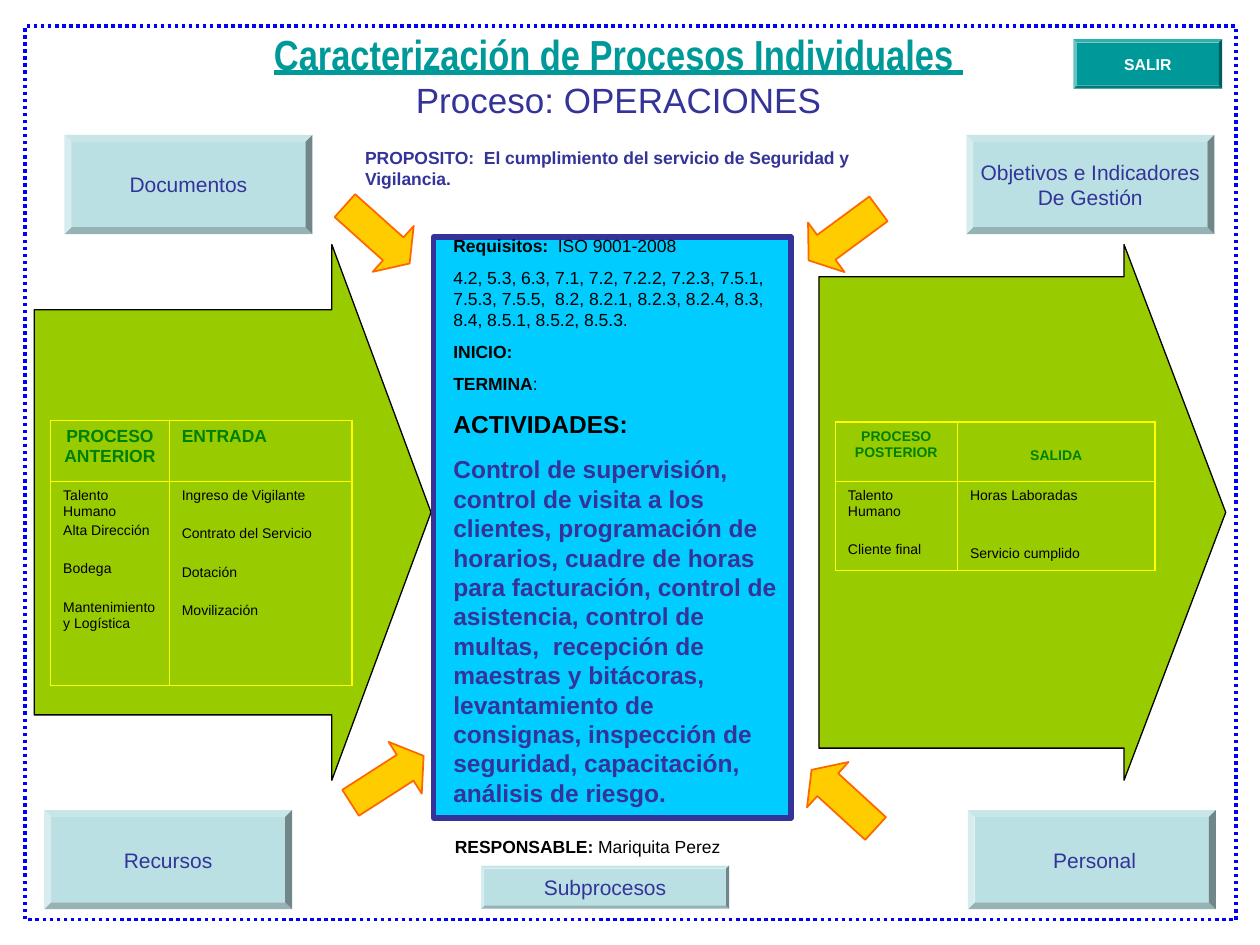
from dataclasses import dataclass

import pptx
import pptx.dml.color
import pptx.enum.dml
import pptx.enum.shapes
import pptx.enum.text
import pptx.oxml.ns
import pptx.util
from lxml import etree

Cm, Pt = pptx.util.Cm, pptx.util.Pt
RGBColor = pptx.dml.color.RGBColor
ShapeKind = pptx.enum.shapes.MSO_SHAPE
Align = pptx.enum.text.PP_ALIGN
Anchor = pptx.enum.text.MSO_ANCHOR

BLACK = RGBColor(0x00, 0x00, 0x00)
WHITE = RGBColor(0xFF, 0xFF, 0xFF)
LIME = RGBColor(0x99, 0xCC, 0x00)
GREEN = RGBColor(0x00, 0x80, 0x00)
TEAL = RGBColor(0x00, 0x99, 0x99)
PALE_TEAL = RGBColor(0xBB, 0xE0, 0xE3)
INDIGO = RGBColor(0x33, 0x33, 0x99)
CYAN = RGBColor(0x00, 0xCC, 0xFF)
GOLD = RGBColor(0xFF, 0xCC, 0x00)
ORANGE = RGBColor(0xFF, 0x66, 0x00)
BLUE = RGBColor(0x00, 0x00, 0xFF)
YELLOW = RGBColor(0xFF, 0xFF, 0x00)

THICK, THIN = 1.08, 0.45
GAP = 13  # space before a table entry that starts a new group, in points


@dataclass
class Box:
    left: float
    top: float
    width: float
    height: float

    def lengths(self) -> list:
        return [Cm(value) for value in (self.left, self.top, self.width, self.height)]


@dataclass
class Run:
    text: str
    size: float = 10
    color: RGBColor = BLACK
    bold: bool = False
    underline: bool = False
    name: str = "Arial"


@dataclass
class Line:
    runs: list[Run]
    before: float = 0
    align: Align = Align.LEFT
    spacing: float = 1.0


@dataclass
class ProcessTable:
    left: float
    top: float
    columns: list[float]
    rows: list[float]
    cells: list[list[list[Line]]]
    bottom_width: float
    fill: RGBColor | None = None


def write_runs(paragraph, runs: list[Run]) -> None:
    for item in runs:
        run = paragraph.add_run()
        run.text = item.text
        formats = {"name": item.name, "size": Pt(item.size),
                   "bold": item.bold, "underline": item.underline}
        for attribute, value in formats.items():
            setattr(run.font, attribute, value)
        run.font.color.rgb = item.color


def write_lines(frame, lines: list[Line]) -> None:
    for index, line in enumerate(lines):
        paragraph = frame.add_paragraph() if index else frame.paragraphs[0]
        formats = {"alignment": line.align, "space_before": Pt(line.before),
                   "line_spacing": line.spacing}
        for attribute, value in formats.items():
            setattr(paragraph, attribute, value)
        write_runs(paragraph, line.runs)


def add_text(slide, box: Box, lines: list[Line], anchor=Anchor.TOP):
    frame = slide.shapes.add_textbox(*box.lengths()).text_frame
    frame.word_wrap = True
    frame.vertical_anchor = anchor
    write_lines(frame, lines)
    return frame


def add_figure(slide, kind, box: Box, fill=None, line=None, width: float = 1,
               adjustments=(), rotation: float = 0):
    shape = slide.shapes.add_shape(kind, *box.lengths())
    shape.shadow.inherit = False
    shape.rotation = rotation
    for index, value in enumerate(adjustments):
        shape.adjustments[index] = value
    for target, color in ((shape.fill, fill), (shape.line.fill, line)):
        if color is None:
            target.background()
        else:
            target.solid()
            target.fore_color.rgb = color
    if line is not None:
        shape.line.width = Pt(width)
    return shape


def add_button(slide, box: Box, labels: list[str], fill=PALE_TEAL,
               color=INDIGO, size: float = 12, bold: bool = False) -> None:
    shape = add_figure(slide, ShapeKind.BEVEL, box, fill, adjustments=[0.07])
    shape.text_frame.word_wrap = False
    shape.text_frame.vertical_anchor = Anchor.MIDDLE
    write_lines(shape.text_frame, [Line([Run(label, size, color, bold)], align=Align.CENTER)
                                   for label in labels])


def set_border(cell, side: str, width: float) -> None:
    qn = pptx.oxml.ns.qn
    border = etree.SubElement(cell._tc.get_or_add_tcPr(), qn(f"a:ln{side}"), w=str(Pt(width)))
    fill = etree.SubElement(border, qn("a:solidFill"))
    etree.SubElement(fill, qn("a:srgbClr"), val=str(YELLOW))


def add_process_table(slide, content: ProcessTable):
    last_row, last_column = len(content.rows) - 1, len(content.columns) - 1
    box = Box(content.left, content.top, sum(content.columns), sum(content.rows))
    table = slide.shapes.add_table(last_row + 1, last_column + 1, *box.lengths()).table
    for column, width in zip(table.columns, content.columns):
        column.width = Cm(width)
    for row, height in zip(table.rows, content.rows):
        row.height = Cm(height)
    for r, row_cells in enumerate(content.cells):
        for c, lines in enumerate(row_cells):
            cell = table.cell(r, c)
            widths = {"L": THIN if c else THICK,
                      "R": THICK if c == last_column else THIN,
                      "T": THIN if r else THICK,
                      "B": content.bottom_width if r == last_row else THIN}
            for side, width in widths.items():
                set_border(cell, side, width)
            if content.fill is None:
                cell.fill.background()
            else:
                cell.fill.solid()
                cell.fill.fore_color.rgb = content.fill
            write_lines(cell.text_frame, lines)
    return table


def header(text: str, size: float, align=Align.CENTER) -> list[Line]:
    return [Line([Run(text, size, GREEN, True)], align=align)]


def entries(*items: tuple[str, float]) -> list[Line]:
    return [Line([Run(text, 8)], before) for text, before in items]


def main() -> None:
    presentation = pptx.Presentation()
    presentation.slide_width, presentation.slide_height = Cm(25.4), Cm(19.05)
    slide = presentation.slides.add_slide(presentation.slide_layouts[6])

    # Large arrows, central panel and dotted frame
    arrow = ShapeKind.RIGHT_ARROW
    add_figure(slide, arrow, Box(16.51, 4.93, 8.2, 10.8), LIME, BLACK, 0.75, [0.88, 0.25])
    add_figure(slide, arrow, Box(0.69, 4.93, 8, 10.8), LIME, BLACK, 0.75, [0.756, 0.25])
    add_figure(slide, ShapeKind.RECTANGLE, Box(8.74, 4.78, 7.21, 11.71), CYAN, INDIGO, 3)
    border = add_figure(slide, ShapeKind.RECTANGLE, Box(0.51, 0.53, 24.41, 18.01), None, BLUE, 2)
    border.line.dash_style = pptx.enum.dml.MSO_LINE.ROUND_DOT

    # Small arrows pointing at the panel
    for left, top, rotation in ((6.93, 15.09, 327.3), (6.73, 4.11, 41.8),
                                (16.13, 15.49, 222.5), (16.13, 4.11, 143.6)):
        add_figure(slide, arrow, Box(left, top, 1.75, 1.24), GOLD, ORANGE, 1,
                   [0.5, 0.357], rotation)

    # Title
    title = add_text(slide, Box(3.3, 0.91, 18.34, 1.65), [
        Line([Run("Caracterización de Procesos Individuales ", 24, TEAL, True, True,
                  "Arial Narrow")], align=Align.CENTER)], Anchor.BOTTOM)
    title.paragraphs[0].add_line_break()
    write_runs(title.paragraphs[0], [Run("Proceso: OPERACIONES", 20, INDIGO)])

    # Purpose, requirements, activities and person in charge
    add_text(slide, Box(7.11, 2.84, 11.99, 1.12), [Line([Run(
        "PROPOSITO:  El cumplimiento del servicio de Seguridad y Vigilancia.",
        color=INDIGO, bold=True)])])
    add_text(slide, Box(8.89, 4.62, 7.01, 4.11), [Line(runs, 6.2) for runs in (
        [Run("Requisitos:  ", bold=True), Run("ISO 9001-2008")],
        [Run("4.2, 5.3, 6.3, 7.1, 7.2, 7.2.2, 7.2.3, 7.5.1, 7.5.3, 7.5.5,  8.2, 8.2.1, "
             "8.2.3, 8.2.4, 8.3, 8.4, 8.5.1, 8.5.2, 8.5.3.")],
        [Run("INICIO:", bold=True)],
        [Run("TERMINA", bold=True), Run(":")])])
    activities = ("Control de supervisión, control de visita a los clientes, programación de "
                  "horarios, cuadre de horas para facturación, control de asistencia, control "
                  "de multas,  recepción de maestras y bitácoras, levantamiento de consignas, "
                  "inspección de seguridad, capacitación, análisis de riesgo.")
    add_text(slide, Box(8.89, 8.13, 7.21, 9.17), [
        Line([Run("ACTIVIDADES:", 14, BLACK, True)], 8.8),
        Line([Run(activities, 14, INDIGO, True)], 8.8)])
    add_text(slide, Box(8.92, 16.81, 7.01, 0.61), [Line(
        [Run("RESPONSABLE: ", bold=True), Run("Mariquita Perez")], spacing=0.8)])

    # Input and output tables
    add_process_table(slide, ProcessTable(1.02, 8.48, [2.39, 3.68], [1.22, 4.11], [
        [header("PROCESO ANTERIOR", 10), header("ENTRADA", 10, Align.LEFT)],
        [entries(("Talento Humano", 2), ("Alta Dirección", 2), ("Bodega", GAP),
                 ("Mantenimiento y Logística", GAP)),
         entries(("Ingreso de Vigilante", 2), ("Contrato del Servicio", GAP),
                 ("Dotación", GAP), ("Movilización", GAP))]], THIN, LIME))
    output_table = add_process_table(slide, ProcessTable(16.84, 8.51, [2.46, 3.99], [1.19, 1.8], [
        [header("PROCESO POSTERIOR", 8), header("SALIDA", 8)],
        [entries(("Talento Humano", 2), ("Cliente final", GAP)),
         entries(("Horas Laboradas", 2), ("Servicio cumplido", 24))]], THICK))
    output_table.cell(0, 1).margin_top = Cm(0.52)

    # Bevelled buttons
    for left, top, labels in ((0.89, 16.33, ["Recursos"]), (19.51, 16.33, [" Personal"]),
                              (1.3, 2.72, ["Documentos"]),
                              (19.48, 2.72, ["Objetivos e Indicadores", "De Gestión"])):
        add_button(slide, Box(left, top, 5, 2), labels)
    add_button(slide, Box(21.64, 0.79, 3, 1), ["SALIR"], TEAL, WHITE, 9, True)
    add_button(slide, Box(9.7, 17.45, 5, 0.87), ["Subprocesos"])

    presentation.save("out.pptx")


if __name__ == "__main__":
    main()
